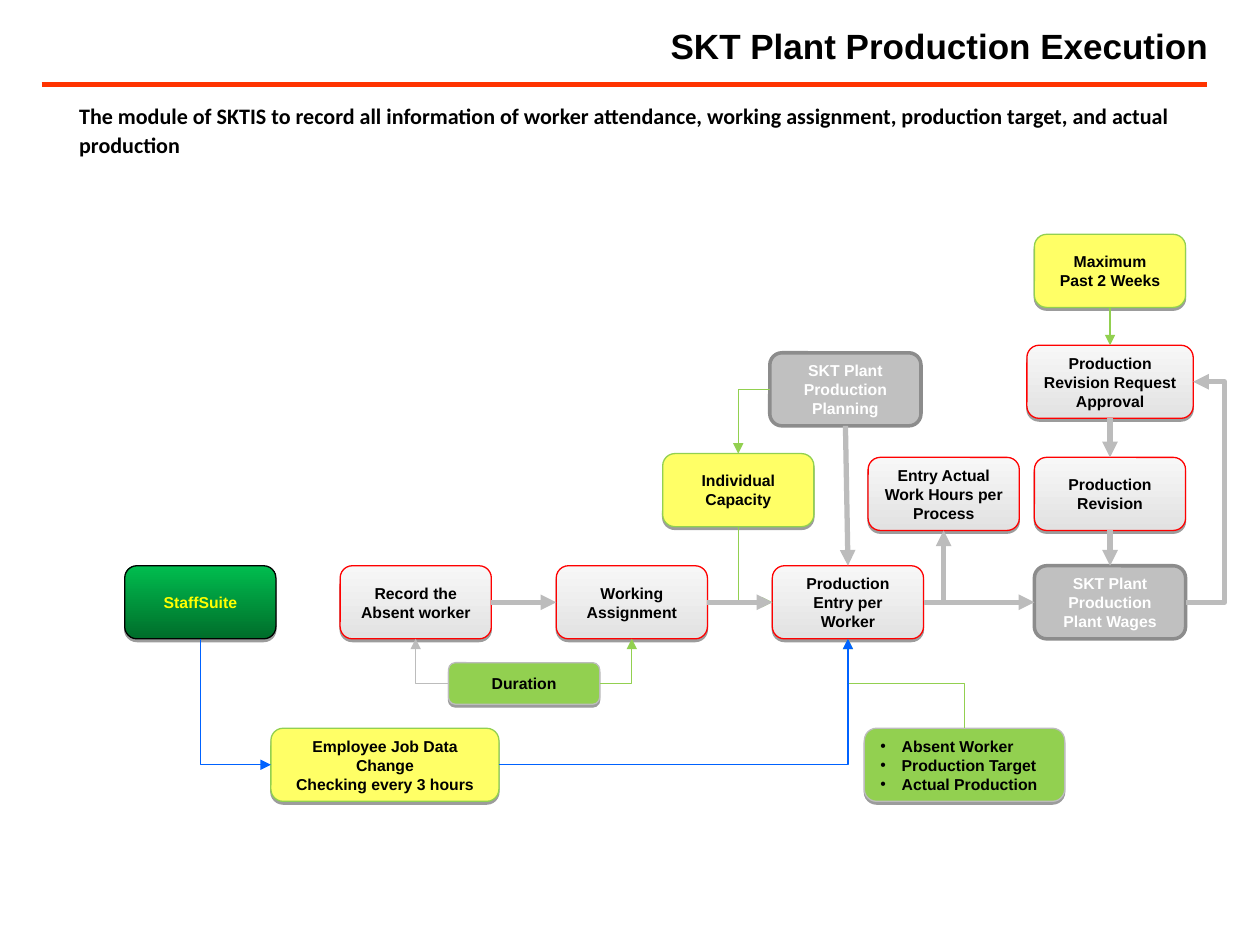
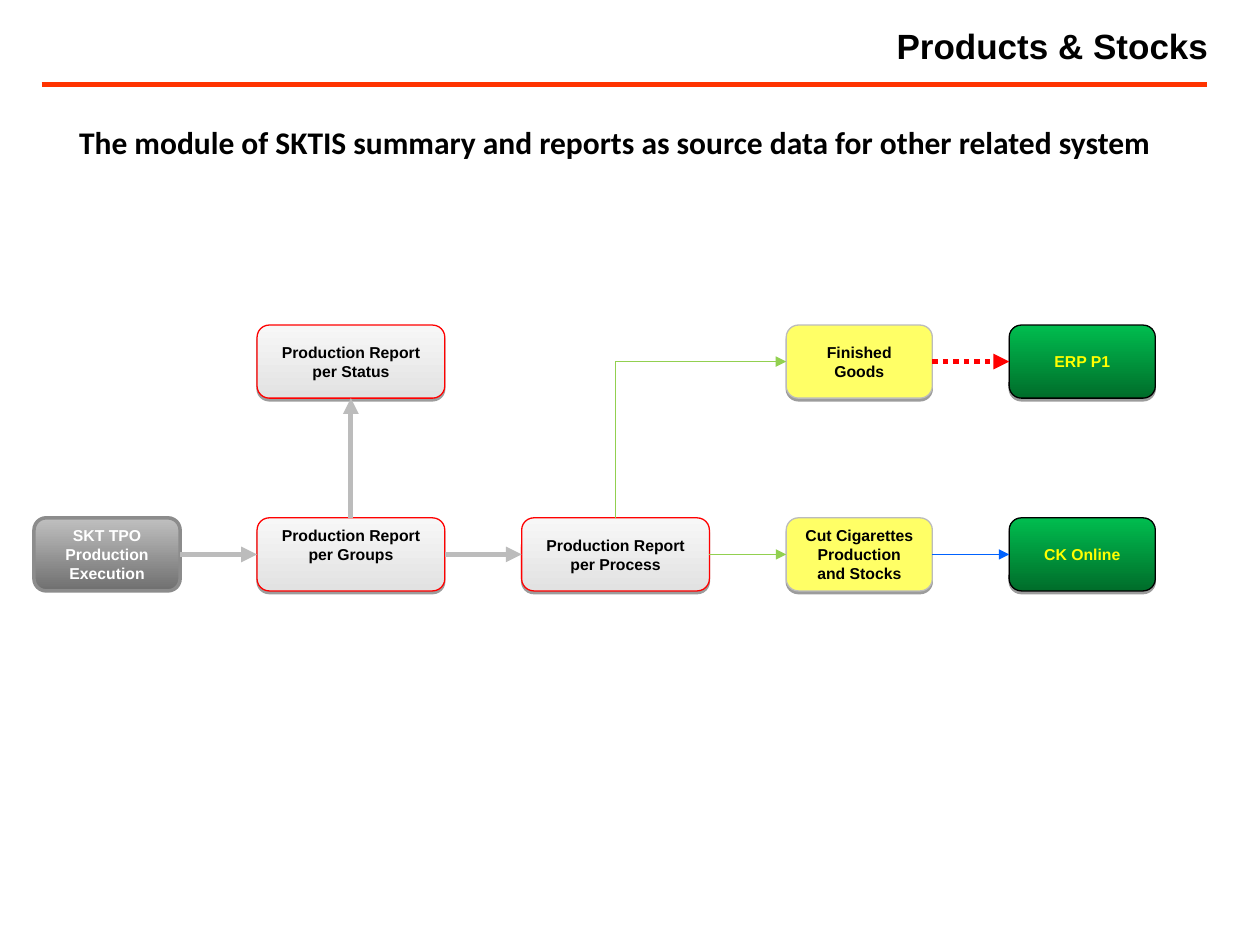
"""Build two process-flow slides on plant production and product stocks."""
from dataclasses import dataclass
from lxml.etree import SubElement
from pptx import Presentation
from pptx.dml.color import RGBColor
from pptx.enum.dml import MSO_LINE
from pptx.enum.shapes import MSO_CONNECTOR, MSO_SHAPE
from pptx.enum.text import MSO_ANCHOR, PP_ALIGN
from pptx.oxml.ns import qn
from pptx.util import Inches, Pt

SITES = {"top": 0, "left": 1, "bottom": 2, "right": 3}
VERTICAL = ("top", "bottom")


@dataclass(frozen=True)
class Theme:
    black: str = "000000"
    white: str = "FFFFFF"
    orange: str = "FF3300"
    red: str = "FF0000"
    green: str = "92D050"
    blue: str = "0062FF"
    grey: str = "BCBCBC"
    dark_grey: str = "8C8C8C"
    silver: str = "C0C0C0"
    yellow: str = "FFFF66"
    bright_yellow: str = "FFFF00"
    step_fill: tuple = ("E2E2E2", "F7F7F7")
    system_fill: tuple = ("006D2A", "00BD4F")
    module_fill: tuple = ("6F6F6F", "C0C0C0")
    heading_font: str = "Arial"
    intro_font: str = "Calibri"
    title_size: float = 20
    box_size: float = 9
    thin: float = 0.75
    thick: float = 3
    frame: float = 2


THEME = Theme()
STEP = {"fill": THEME.step_fill, "edge": THEME.red}
DATA = {"fill": THEME.yellow, "edge": THEME.green}
STOCK = {"fill": THEME.yellow, "edge": THEME.grey}
NOTE = {"fill": THEME.green, "edge": THEME.grey}
SYSTEM = {"fill": THEME.system_fill, "edge": THEME.black, "ink": THEME.bright_yellow}
MODULE = {"fill": THEME.silver, "edge": THEME.dark_grey, "ink": THEME.white,
          "weight": THEME.frame, "shadow": False}
SHADED_MODULE = {**MODULE, "fill": THEME.module_fill}


def rgb(colour):
    return RGBColor.from_string(colour)


def apply(target, values):
    for name, value in values.items():
        setattr(target, name, value)


class FlowDeck:
    def __init__(self, theme):
        self.theme = theme
        self.deck = Presentation()
        apply(self.deck, {"slide_width": Inches(10), "slide_height": Inches(7.5)})
        self.slide = None

    def new_slide(self, heading):
        self.slide = self.deck.slides.add_slide(self.deck.slide_layouts[5])
        rule = self.slide.shapes.add_connector(
            MSO_CONNECTOR.STRAIGHT, Inches(0.33), Inches(0.67), Inches(9.58), Inches(0.67))
        self.stroke(rule, self.theme.orange, self.theme.thick)
        title = self.slide.shapes.title
        apply(title, {"left": Inches(3.04), "top": Inches(0.06),
                      "width": Inches(6.65), "height": Inches(0.6)})
        apply(title.text_frame, {"text": heading, "word_wrap": True,
                                 "vertical_anchor": MSO_ANCHOR.MIDDLE})
        paragraph = title.text_frame.paragraphs[0]
        paragraph.alignment = PP_ALIGN.RIGHT
        self.style(paragraph, self.theme.title_size)

    def style(self, paragraph, size, ink=None, font=None):
        apply(paragraph.font, {"size": Pt(size), "bold": True,
                               "name": font or self.theme.heading_font})
        paragraph.font.color.rgb = rgb(ink or self.theme.black)

    def intro(self, text, top, size, spacing):
        area = self.slide.shapes.add_textbox(Inches(0.53), Inches(top), Inches(9), Inches(0.57))
        apply(area.text_frame, {"word_wrap": True, "text": text})
        paragraph = area.text_frame.paragraphs[0]
        paragraph.line_spacing = spacing
        self.style(paragraph, size, font=self.theme.intro_font)

    def box(self, look, text, left, top, width=1.2, height=0.58, bullets=False, bottom=0.05):
        shape = self.slide.shapes.add_shape(
            MSO_SHAPE.ROUNDED_RECTANGLE, Inches(left), Inches(top), Inches(width), Inches(height))
        self.paint(shape.fill, look["fill"])
        shape.line.color.rgb = rgb(look["edge"])
        shape.line.width = Pt(look.get("weight", self.theme.thin))
        shape.shadow.inherit = False
        if look.get("shadow", True):
            self.drop_shadow(shape)
        apply(shape.text_frame, {"word_wrap": True, "text": text,
                                 "vertical_anchor": MSO_ANCHOR.MIDDLE,
                                 "margin_bottom": Inches(bottom)})
        for paragraph in shape.text_frame.paragraphs:
            paragraph.alignment = PP_ALIGN.LEFT if bullets else PP_ALIGN.CENTER
            if bullets:
                self.bullet(paragraph)
            self.style(paragraph, self.theme.box_size, look.get("ink"))
        return shape

    def paint(self, fill, colours):
        if isinstance(colours, str):
            fill.solid()
            fill.fore_color.rgb = rgb(colours)
            return
        fill.gradient()
        fill.gradient_angle = 90
        for stop, colour in zip(fill.gradient_stops, colours):
            stop.color.rgb = rgb(colour)

    def drop_shadow(self, shape):
        effects = shape.element.spPr.find(qn("a:effectLst"))
        shadow = SubElement(effects, qn("a:outerShdw"), blurRad="0", dist=str(Pt(1.6)),
                            dir="5400000", rotWithShape="0")
        colour = SubElement(shadow, qn("a:srgbClr"), val=self.theme.black)
        SubElement(colour, qn("a:alpha"), val="38000")

    def bullet(self, paragraph):
        properties = paragraph._p.get_or_add_pPr()
        apply_indent = {"marL": Inches(0.17), "indent": -Inches(0.17)}
        for name, value in apply_indent.items():
            properties.set(name, str(value))
        SubElement(properties, qn("a:buFont"), typeface=self.theme.heading_font)
        SubElement(properties, qn("a:buChar"), char="•")

    def stroke(self, connector, colour, weight, dash=None, arrow=None):
        connector.line.color.rgb = rgb(colour)
        connector.line.width = Pt(weight)
        if dash:
            connector.line.dash_style = dash
        properties = connector.element.spPr
        if arrow:
            SubElement(properties.find(qn("a:ln")), qn(arrow), type="triangle")
        SubElement(properties, qn("a:effectLst"))

    def link(self, source, exit_side, target, entry_side, colour=None, weight=None, dash=None):
        ends = [(source, SITES[exit_side]), (target, SITES[entry_side])]
        sides_vertical = (exit_side in VERTICAL, entry_side in VERTICAL)
        corner = sides_vertical[0] != sides_vertical[1]
        reverse = corner and sides_vertical[0]
        if reverse:
            ends.reverse()
        straight = {exit_side, entry_side} in ({"left", "right"}, {"top", "bottom"})
        offset = abs(source.left + source.width / 2 - target.left - target.width / 2)
        step = straight and all(sides_vertical) and offset > Inches(0.1)
        kind = MSO_CONNECTOR.STRAIGHT if straight and not step else MSO_CONNECTOR.ELBOW
        connector = self.slide.shapes.add_connector(kind, 0, 0, 0, 0)
        connector.begin_connect(*ends[0])
        connector.end_connect(*ends[1])
        if corner:
            connector.element.spPr.find(qn("a:prstGeom")).set("prst", "bentConnector2")
        elif step:
            self.turn_upward(connector)
        elif not straight:
            self.detour(connector, Inches(9.72))
        self.stroke(connector, colour or self.theme.grey, weight or self.theme.thick, dash,
                    "a:headEnd" if reverse else "a:tailEnd")

    def turn_upward(self, connector):
        shift = (connector.width - connector.height) // 2
        apply(connector, {"left": connector.left + shift, "top": connector.top - shift,
                          "width": connector.height, "height": connector.width})
        frame = connector.element.spPr.find(qn("a:xfrm"))
        for name, value in {"rot": "16200000", "flipH": "0", "flipV": "1"}.items():
            frame.set(name, value)

    def detour(self, connector, reach):
        bend = round((reach - connector.begin_x) / connector.width * 100000)
        geometry = connector.element.spPr.find(qn("a:prstGeom"))
        SubElement(geometry.find(qn("a:avLst")), qn("a:gd"), name="adj1", fmla=f"val {bend}")

    def save(self):
        self.deck.save("out.pptx")


def production_execution(flow):
    flow.new_slide("SKT Plant Production Execution")
    flow.intro("The module of SKTIS to record all information of worker attendance, "
               "working assignment, production target, and actual production", 0.74, 12.6, 1.1)
    main_row, revision_row, check_row, revision_column = 4.49, 3.63, 5.78, 8.21
    staff_system = flow.box(SYSTEM, "StaffSuite", 0.99, main_row)
    absence, assignment, entry = (
        flow.box(STEP, text, 2.7 + 1.715 * index, main_row)
        for index, text in enumerate(("Record the Absent worker", "Working Assignment",
                                      "Production Entry per Worker")))
    wages = flow.box(MODULE, "SKT Plant\nProduction Plant Wages", revision_column, main_row)
    revision = flow.box(STEP, "Production Revision", revision_column, revision_row)
    work_hours = flow.box(STEP, "Entry Actual Work Hours per Process", 6.89, revision_row)
    capacity = flow.box(DATA, "Individual Capacity", 5.26, 3.6)
    planning = flow.box(MODULE, "SKT Plant\nProduction Planning", 6.11, 2.8)
    maximum = flow.box(DATA, "Maximum\nPast 2 Weeks", revision_column, 1.86)
    approval = flow.box(STEP, "Production Revision Request Approval", 8.15, 2.74, 1.32)
    duration = flow.box(NOTE, "Duration", 3.56, 5.26, height=0.33)
    job_data = flow.box(DATA, "Employee Job Data Change\nChecking every 3 hours",
                        2.15, check_row, 1.81)
    worker_data = flow.box(NOTE, "Absent Worker\nProduction Target\nActual Production",
                           6.86, check_row, 1.59, bullets=True)
    green, blue = ((colour, THEME.thin) for colour in (THEME.green, THEME.blue))
    for source, exit_side, target, entry_side, *pen in (
            (capacity, "bottom", entry, "left", *green),
            (worker_data, "top", entry, "bottom", *green),
            (wages, "right", approval, "right"),
            (maximum, "bottom", approval, "top", *green),
            (revision, "bottom", wages, "top"),
            (planning, "bottom", entry, "top"),
            (approval, "bottom", revision, "top"),
            (absence, "right", assignment, "left"),
            (assignment, "right", entry, "left"),
            (entry, "right", wages, "left"),
            (planning, "left", capacity, "top", *green),
            (duration, "right", assignment, "bottom", *green),
            (duration, "left", absence, "bottom", THEME.grey, THEME.thin),
            (staff_system, "bottom", job_data, "left", *blue),
            (job_data, "right", entry, "bottom", *blue),
            (entry, "right", work_hours, "bottom")):
        flow.link(source, exit_side, target, entry_side, *pen)


def products_and_stocks(flow):
    flow.new_slide("Products & Stocks")
    flow.intro("The module of SKTIS summary and reports as source data for other related system",
               0.84, 18, 1.3)
    upper_row, lower_row = 2.58, 4.11
    report_width, side_width = 1.49, 1.16
    execution = flow.box(SHADED_MODULE, "SKT TPO\nProduction Execution",
                         0.27, lower_row, side_width)
    groups = flow.box(STEP, "Production Report per Groups", 2.04, lower_row, report_width,
                      bottom=0.2)
    status = flow.box(STEP, "Production Report per Status", 2.04, upper_row, report_width)
    process = flow.box(STEP, "Production Report per Process", 4.14, lower_row, report_width)
    finished = flow.box(STOCK, "Finished Goods", 6.24, upper_row, side_width)
    cut_stocks = flow.box(STOCK, "Cut Cigarettes Production and Stocks",
                          6.24, lower_row, side_width)
    ledger = flow.box(SYSTEM, "ERP P1", 8.01, upper_row, side_width)
    online = flow.box(SYSTEM, "CK Online", 8.01, lower_row, side_width)
    for source, exit_side, target, entry_side, *pen in (
            (groups, "top", status, "bottom"),
            (execution, "right", groups, "left"),
            (groups, "right", process, "left"),
            (process, "right", cut_stocks, "left", THEME.green, THEME.thin),
            (process, "top", finished, "left", THEME.green, THEME.thin),
            (finished, "right", ledger, "left", THEME.red, THEME.thick, MSO_LINE.ROUND_DOT),
            (cut_stocks, "right", online, "left", THEME.blue, THEME.thin)):
        flow.link(source, exit_side, target, entry_side, *pen)


def main():
    flow = FlowDeck(THEME)
    production_execution(flow)
    products_and_stocks(flow)
    flow.save()


if __name__ == "__main__":
    main()
